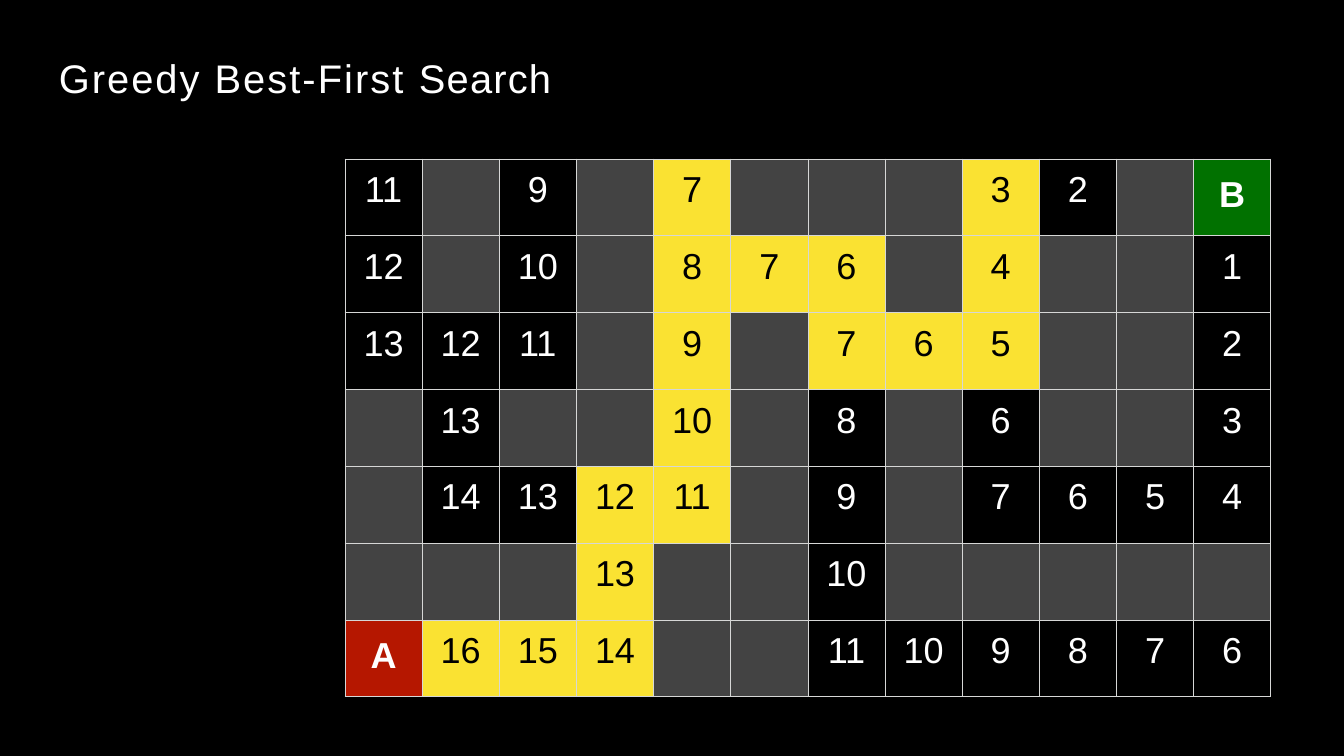
from dataclasses import dataclass
from lxml.etree import SubElement
from pptx import Presentation
from pptx.dml.color import RGBColor
from pptx.enum.text import MSO_ANCHOR, PP_ALIGN
from pptx.oxml.ns import qn
from pptx.util import Emu, Pt

TITLE = [("Greedy ", 230), ("Best-First ", 240), ("Search", 140)]

# "." is a wall, "*" marks a step on the search path
MAZE = [
    "11 . 9 . *7 . . . *3 2 . B",
    "12 . 10 . *8 *7 *6 . *4 . . 1",
    "13 12 11 . *9 . *7 *6 *5 . . 2",
    ". 13 . . *10 . 8 . 6 . . 3",
    ". 14 13 *12 *11 . 9 . 7 6 5 4",
    ". . . *13 . . 10 . . . . .",
    "A *16 *15 *14 . . 11 10 9 8 7 6",
]

SLIDE_SIZE = (1344, 756)
TITLE_BOX = (59, 53, 493, 49)
MAZE_BOX = (345, 159, 926, 538)
NUMBER_TOP = 11
LETTER_TOP = 16
EMU_PER_PX = 14965


@dataclass(frozen=True)
class Theme:
    font: str = "Arial"
    title_size: float = 47
    cell_size: float = 42.5
    background: str = "000000"
    text: str = "FFFFFF"
    path_text: str = "000000"
    open_fill: str = "000000"
    wall_fill: str = "434343"
    path_fill: str = "FAE232"
    start_fill: str = "B51700"
    goal_fill: str = "017100"
    border: str = "D6D7D6"
    border_width: float = 1


THEME = Theme()


def px(length):
    return Emu(length * EMU_PER_PX)


def add_run(paragraph, text, size, color, bold=False, spacing=0):
    run = paragraph.add_run()
    run.text = text
    run.font.name = THEME.font
    run.font.size = Pt(size)
    run.font.bold = bold
    run.font.color.rgb = RGBColor.from_string(color)
    run.font._element.set("spc", str(spacing))


def add_borders(cell):
    properties = cell._tc.get_or_add_tcPr()
    for side in ("lnL", "lnR", "lnT", "lnB"):
        line = SubElement(properties, qn(f"a:{side}"), w=str(Pt(THEME.border_width)))
        fill = SubElement(line, qn("a:solidFill"))
        SubElement(fill, qn("a:srgbClr"), val=THEME.border)


def cell_fill(mark):
    if mark.startswith("*"):
        return THEME.path_fill
    special = {".": THEME.wall_fill, "A": THEME.start_fill, "B": THEME.goal_fill}
    return special.get(mark, THEME.open_fill)


def fill_cell(cell, mark):
    is_letter = mark.isalpha()
    cell.margin_left = cell.margin_right = cell.margin_bottom = 0
    cell.margin_top = px(LETTER_TOP if is_letter else NUMBER_TOP)
    cell.vertical_anchor = MSO_ANCHOR.TOP
    add_borders(cell)
    cell.fill.solid()
    cell.fill.fore_color.rgb = RGBColor.from_string(cell_fill(mark))
    if mark == ".":
        return
    paragraph = cell.text_frame.paragraphs[0]
    paragraph.alignment = PP_ALIGN.CENTER
    label = mark.lstrip("*")
    color = THEME.path_text if mark.startswith("*") else THEME.text
    spacing = -10 if len(label) > 1 else 0
    add_run(paragraph, label, THEME.cell_size, color, is_letter, spacing)


def add_title(slide):
    frame = slide.shapes.add_textbox(*map(px, TITLE_BOX)).text_frame
    frame.word_wrap = False
    frame.margin_left = frame.margin_right = frame.margin_bottom = 0
    frame.margin_top = px(1)
    paragraph = frame.paragraphs[0]
    paragraph.alignment = PP_ALIGN.LEFT
    for text, spacing in TITLE:
        add_run(paragraph, text, THEME.title_size, THEME.text, spacing=spacing)


def add_maze(slide):
    rows = [line.split() for line in MAZE]
    left, top, width, height = map(px, MAZE_BOX)
    table = slide.shapes.add_table(
        len(rows), len(rows[0]), left, top, width, height
    ).table
    table.first_row = table.horz_banding = False
    for column in table.columns:
        column.width = Emu(width // len(rows[0]))
    for row, marks in zip(table.rows, rows):
        row.height = Emu(height // len(rows))
        for cell, mark in zip(row.cells, marks):
            fill_cell(cell, mark)


def main():
    presentation = Presentation()
    presentation.slide_width, presentation.slide_height = map(px, SLIDE_SIZE)
    slide = presentation.slides.add_slide(presentation.slide_layouts[6])
    slide.background.fill.solid()
    slide.background.fill.fore_color.rgb = RGBColor.from_string(THEME.background)
    add_maze(slide)
    add_title(slide)
    presentation.save("out.pptx")


if __name__ == "__main__":
    main()
